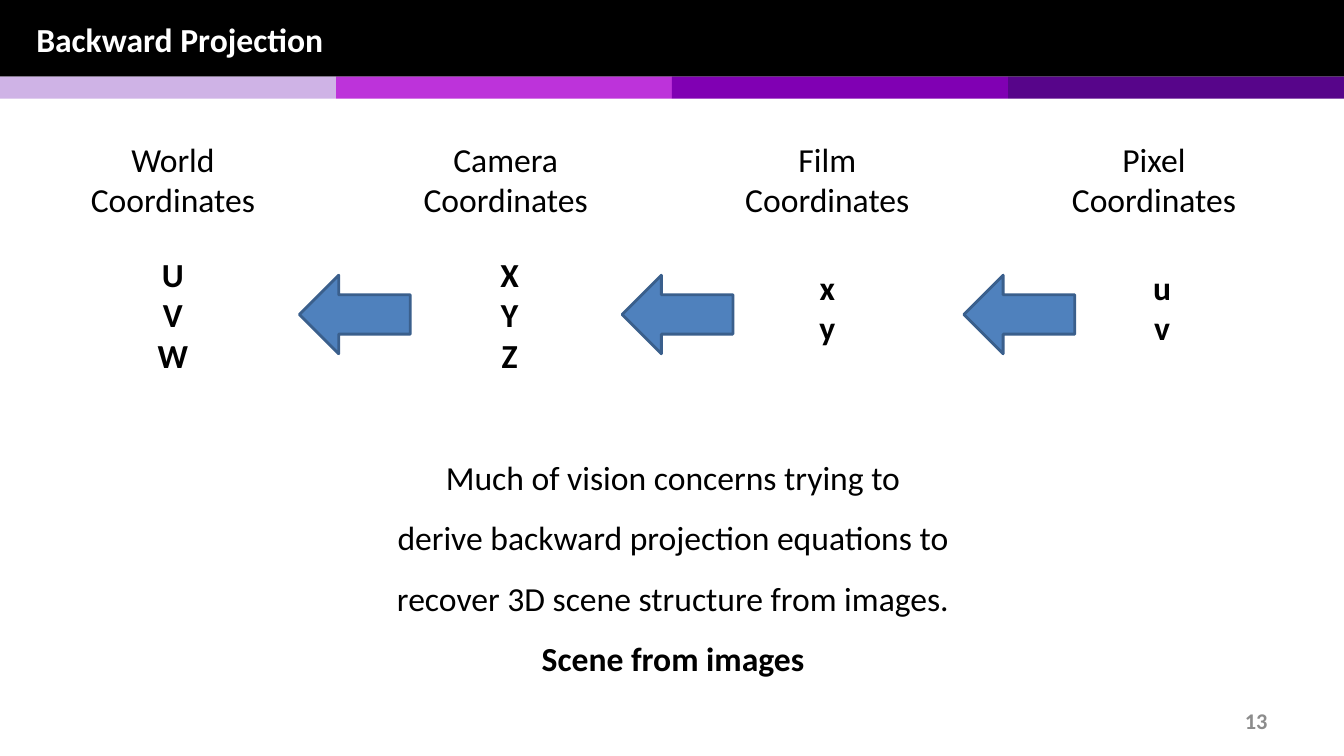
from pptx import Presentation, util as u
from pptx.dml.color import RGBColor
from pptx.enum import shapes, text

BLACK = RGBColor(0x00, 0x00, 0x00)
WHITE = RGBColor(0xFF, 0xFF, 0xFF)
GREY = RGBColor(0x8C, 0x8C, 0x8C)
ARROW_BLUE = RGBColor(0x4F, 0x81, 0xBD)
ARROW_EDGE = RGBColor(0x3A, 0x5F, 0x8C)
STRIPES = [
    RGBColor(0xCF, 0xB3, 0xE6),
    RGBColor(0xBD, 0x33, 0xDA),
    RGBColor(0x80, 0x00, 0xB3),
    RGBColor(0x57, 0x05, 0x8A),
]
WIDTH, HEIGHT = 13.33, 7.5
HEADER_HEIGHT = 0.76


class SlideBuilder:
    font = "Calibri"
    size = 24

    def __init__(self, deck):
        self.slide = deck.slides.add_slide(deck.slide_layouts[5])

    def fill_frame(self, frame, lines, align, color=BLACK, size=None, spacing=1.0,
                   anchor=text.MSO_ANCHOR.TOP):
        frame.word_wrap = True
        frame.auto_size = text.MSO_AUTO_SIZE.NONE
        frame.vertical_anchor = anchor
        for index, (words, bold) in enumerate(lines):
            paragraph = frame.add_paragraph() if index else frame.paragraphs[0]
            paragraph.alignment = align
            paragraph.line_spacing = spacing
            run = paragraph.add_run()
            run.text = words
            run.font.name = self.font
            run.font.size = u.Pt(size or self.size)
            run.font.bold = bold
            run.font.color.rgb = color

    def title(self, words, left, top, width, height):
        heading = self.slide.shapes.title
        heading.left, heading.top = u.Inches(left), u.Inches(top)
        heading.width, heading.height = u.Inches(width), u.Inches(height)
        self.fill_frame(heading.text_frame, [(words, True)], text.PP_ALIGN.LEFT,
                        WHITE, anchor=text.MSO_ANCHOR.MIDDLE)
        self.slide.shapes._spTree.append(heading._element)

    def text_box(self, lines, left, top, width, height,
                 align=text.PP_ALIGN.CENTER, **style):
        box = self.slide.shapes.add_textbox(
            u.Inches(left), u.Inches(top), u.Inches(width), u.Inches(height))
        self.fill_frame(box.text_frame, lines, align, **style)

    def shape(self, kind, left, top, width, height, fill, edge=None):
        figure = self.slide.shapes.add_shape(
            kind, u.Inches(left), u.Inches(top), u.Inches(width), u.Inches(height))
        figure.shadow.inherit = False
        figure.fill.solid()
        figure.fill.fore_color.rgb = fill
        if edge is None:
            figure.line.fill.background()
        else:
            figure.line.color.rgb = edge
            figure.line.width = u.Pt(2)

    def bar(self, left, top, width, height, fill):
        self.shape(shapes.MSO_SHAPE.RECTANGLE, left, top, width, height, fill)

    def arrow(self, left):
        self.shape(shapes.MSO_SHAPE.LEFT_ARROW, left, 2.73, 1.1, 0.78,
                   ARROW_BLUE, ARROW_EDGE)


def main():
    deck = Presentation()
    deck.slide_width, deck.slide_height = u.Inches(WIDTH), u.Inches(HEIGHT)
    page = SlideBuilder(deck)

    page.bar(0, 0, WIDTH, HEADER_HEIGHT, BLACK)
    stripe_width = WIDTH / len(STRIPES)
    for index, color in enumerate(STRIPES):
        page.bar(index * stripe_width, HEADER_HEIGHT, stripe_width, 0.22, color)
    page.title("Backward Projection", 0.26, 0.01, 12.82, 0.75)

    systems = [
        ("World", 0.37, "UVW", 0.37, 2.47),
        ("Camera", 3.67, "XYZ", 3.71, 2.47),
        ("Film", 6.86, "xy", 6.86, 2.6),
        ("Pixel", 10.1, "uv", 10.18, 2.6),
    ]
    for system, label_left, axes, axes_left, axes_top in systems:
        page.text_box([(system, False), ("Coordinates", False)],
                      label_left, 1.33, 2.69, 0.91)
        page.text_box([(axis, True) for axis in axes],
                      axes_left, axes_top, 2.69, 0.1 + 0.4 * len(axes))
    for arrow_left in (2.97, 6.17, 9.56):
        page.arrow(arrow_left)

    page.text_box([
        ("Much of vision concerns trying to", False),
        ("derive backward projection equations to", False),
        ("recover 3D scene structure from images.", False),
        ("Scene from images", True),
    ], 1.58, 4.28, 10.19, 2.52, spacing=1.5)
    page.text_box([("13", True)], 9.56, 6.95, 3.11, 0.4, text.PP_ALIGN.RIGHT,
                  color=GREY, size=16, anchor=text.MSO_ANCHOR.MIDDLE)

    deck.save("out.pptx")


if __name__ == "__main__":
    main()
